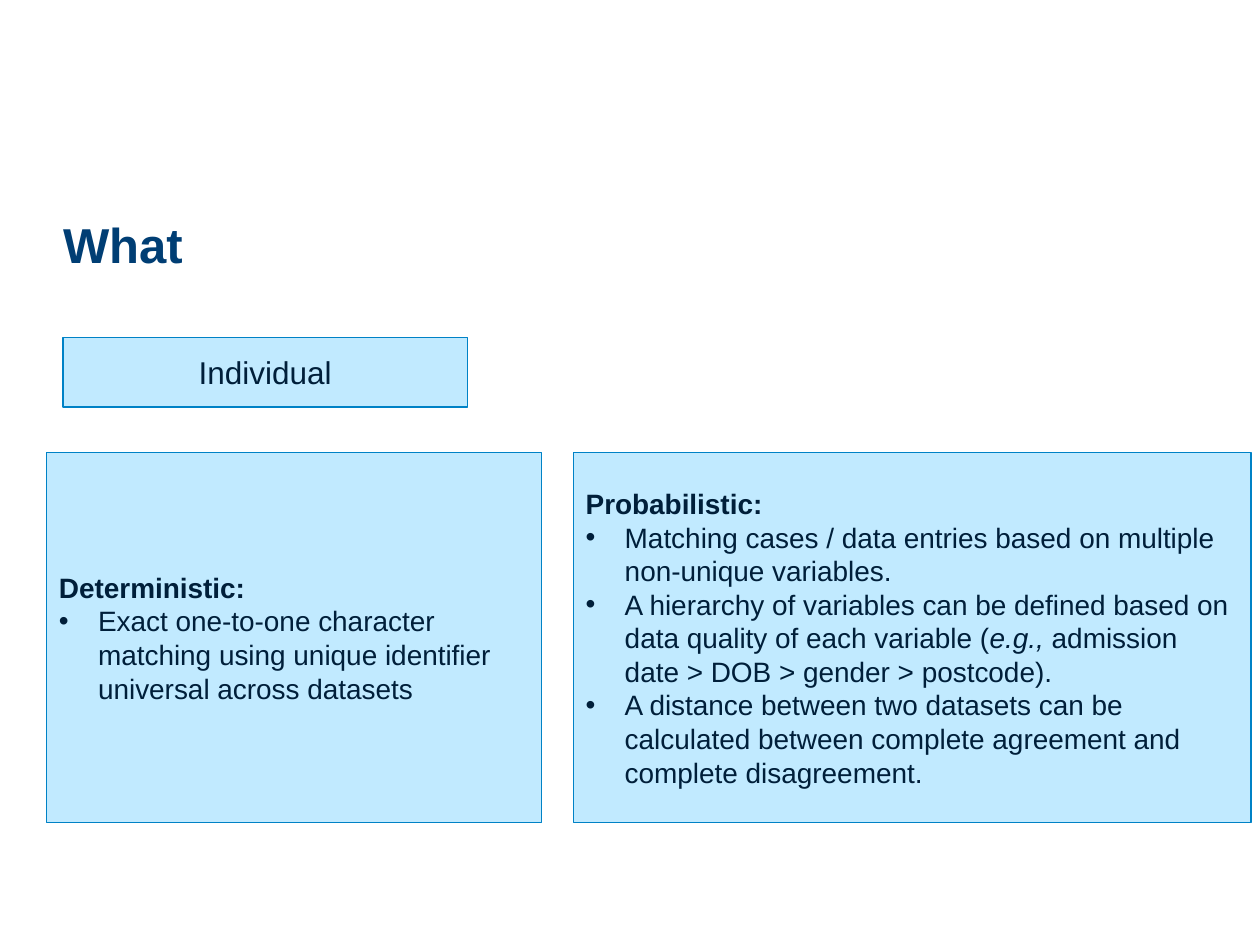
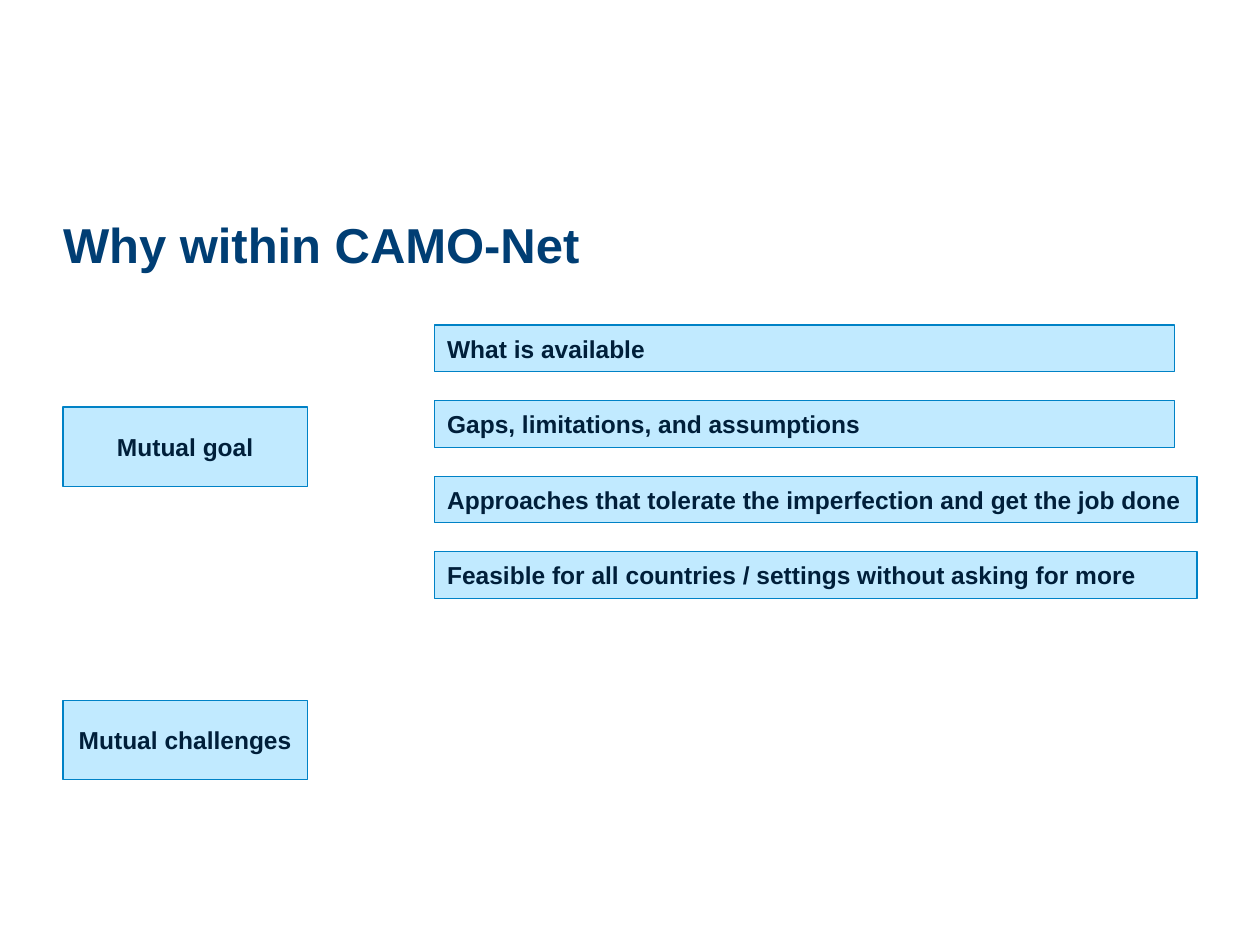
from lxml import etree
from pptx import Presentation
from pptx.dml.color import RGBColor
from pptx.enum import shapes, text
from pptx.oxml.ns import qn
from pptx.util import Inches, Pt

NAVY = RGBColor(0x00, 0x3E, 0x74)
INK = RGBColor(0x00, 0x1F, 0x3A)
BLUE = RGBColor(0x00, 0x82, 0xC6)
PALE = RGBColor(0xC1, 0xEA, 0xFF)
FONT = "Arial"
LEFT, CENTER = text.PP_ALIGN.LEFT, text.PP_ALIGN.CENTER


class Deck:
    """Holds the shared style and the current slide."""

    def __init__(self):
        self.prs = Presentation()
        self.prs.slide_width, self.prs.slide_height = Inches(10), Inches(7.5)
        self.slide = None

    def style(self, p, size, color, bold=False, align=LEFT):
        p.alignment = align
        for r in p.runs:
            r.font.name, r.font.size, r.font.bold = FONT, Pt(size), bold
            r.font.color.rgb = color

    def new_slide(self, title):
        self.slide = self.prs.slides.add_slide(self.prs.slide_layouts[5])
        sp = self.slide.shapes.title
        sp.left, sp.top, sp.width, sp.height = map(Inches, (0.5, 1.63, 9, 0.56))
        tf = sp.text_frame
        tf.text = title
        tf.word_wrap = True
        tf.auto_size = text.MSO_AUTO_SIZE.NONE
        tf.vertical_anchor = text.MSO_ANCHOR.MIDDLE
        tf.margin_left = tf.margin_right = tf.margin_bottom = 0
        tf.margin_top = Inches(0.05)
        self.style(tf.paragraphs[0], 28, NAVY, bold=True)

    def box(self, x, y, w, h, label, size, bold=True, align=LEFT):
        sp = self.slide.shapes.add_shape(
            shapes.MSO_SHAPE.RECTANGLE, *map(Inches, (x, y, w, h)))
        sp.shadow.inherit = False
        sp.fill.solid()
        sp.fill.fore_color.rgb = PALE
        sp.line.color.rgb = BLUE
        sp.line.width = Pt(0.75)
        tf = sp.text_frame
        tf.word_wrap = True
        tf.vertical_anchor = text.MSO_ANCHOR.MIDDLE
        tf.text = label
        self.style(tf.paragraphs[0], size, INK, bold, align)
        return tf

    def bullet(self, tf, *parts, size=16):
        """Add one bullet; every second part is italic."""
        p = tf.add_paragraph()
        pPr = p._p.get_or_add_pPr()
        pPr.set("marL", str(Inches(0.31)))
        pPr.set("indent", str(-Inches(0.31)))
        etree.SubElement(pPr, qn("a:buFont")).set("typeface", FONT)
        etree.SubElement(pPr, qn("a:buChar")).set("char", "•")
        for i, part in enumerate(parts):
            r = p.add_run()
            r.text = part
            r.font.italic = i % 2 == 1
        self.style(p, size, INK)


def linkage_slide(deck):
    deck.new_slide("What")
    deck.box(0.5, 2.68, 3.21, 0.55, "Individual", 18, bold=False, align=CENTER)

    # Two ways of matching
    top, height = 3.59, 2.94
    tf = deck.box(0.37, top, 3.93, height, "Deterministic:", 16)
    deck.bullet(tf, "Exact one-to-one character matching using unique "
                    "identifier universal across datasets")

    tf = deck.box(4.55, top, 5.38, height, "Probabilistic:", 16)
    deck.bullet(tf, "Matching cases / data entries based on multiple "
                    "non-unique variables.")
    deck.bullet(tf, "A hierarchy of variables can be defined based on data "
                    "quality of each variable (", "e.g., ",
                "admission date > DOB > gender > postcode).")
    deck.bullet(tf, "A distance between two datasets can be calculated between "
                    "complete agreement and complete disagreement.")


def reasons_slide(deck):
    deck.new_slide("Why within CAMO-Net")

    # Shared themes on the left
    for y, theme in ((3.23, "Mutual goal"), (5.56, "Mutual challenges")):
        deck.box(0.5, y, 1.94, 0.63, theme, 14, align=CENTER)

    # Evenly spaced reasons on the right
    reasons = (
        ("What is available", 5.87),
        ("Gaps, limitations, and assumptions", 5.87),
        ("Approaches that tolerate the imperfection and get the job done", 6.05),
        ("Feasible for all countries / settings without asking for more", 6.05),
    )
    for i, (reason, width) in enumerate(reasons):
        deck.box(3.45, 2.58 + 0.6 * i, width, 0.37, reason, 14)


def main():
    deck = Deck()
    linkage_slide(deck)
    reasons_slide(deck)
    deck.prs.save("out.pptx")


if __name__ == "__main__":
    main()
